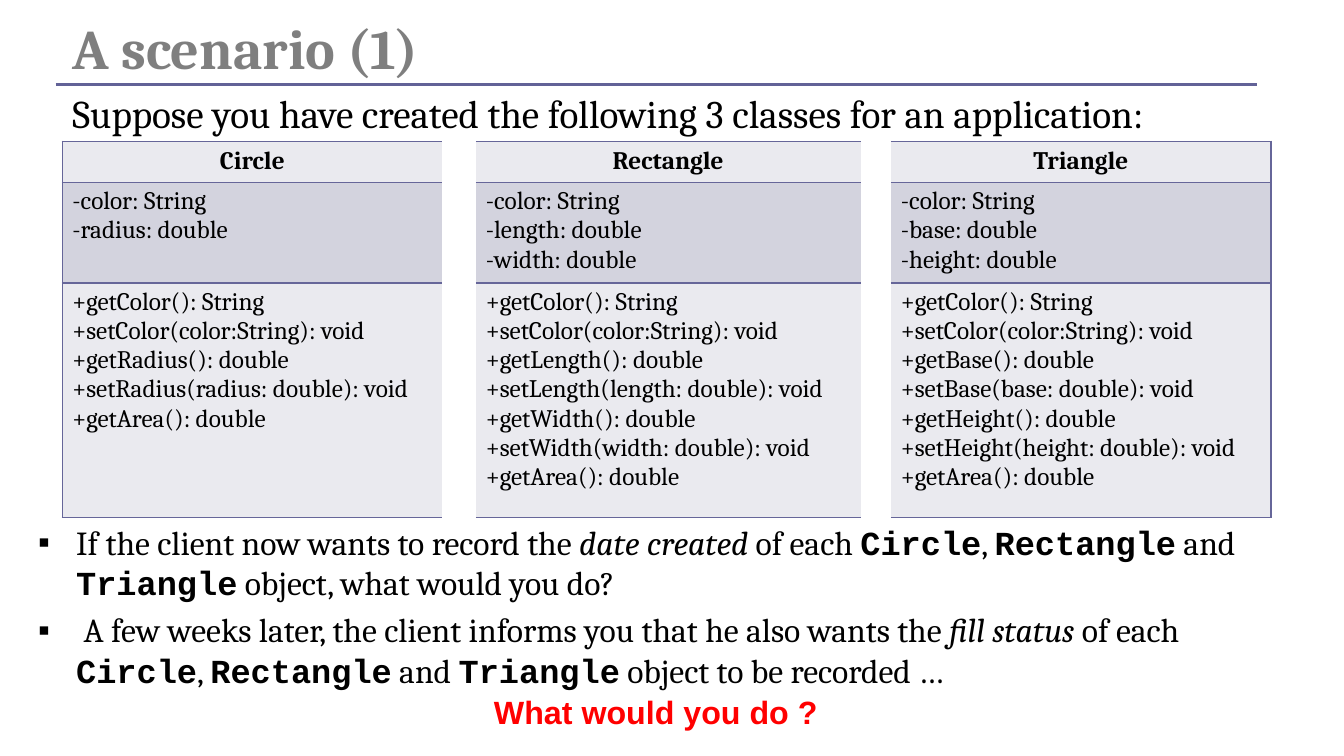
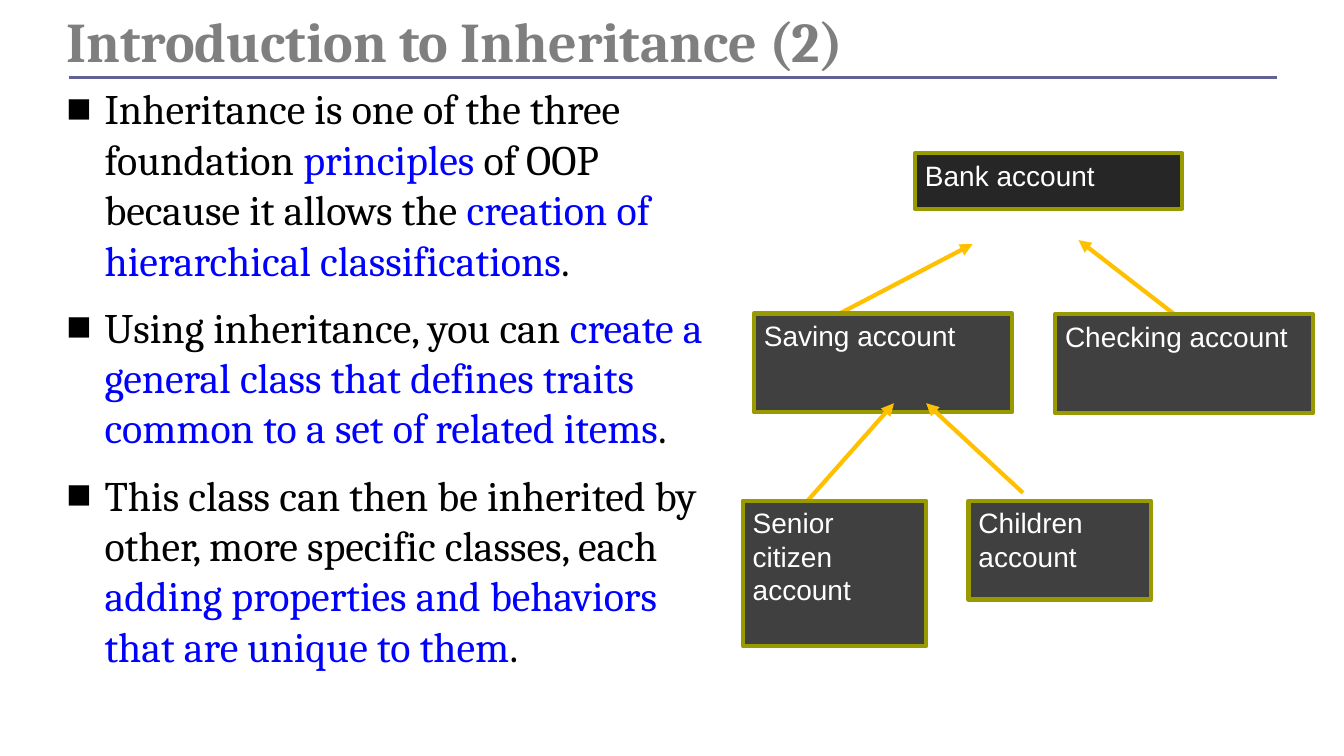
"""Build two slides that introduce inheritance with class tables and a hierarchy."""
from dataclasses import dataclass

from lxml.etree import SubElement
from pptx import Presentation
from pptx.dml.color import RGBColor
from pptx.enum.shapes import MSO_CONNECTOR, MSO_SHAPE
from pptx.enum.text import MSO_ANCHOR, MSO_AUTO_SIZE, PP_ALIGN
from pptx.oxml.ns import qn
from pptx.util import Cm, Pt


@dataclass(frozen=True)
class Theme:
    serif: str = "Cambria"
    sans: str = "Arial"
    mono: str = "Courier New"
    title: str = "7F7F7F"
    text: str = "000000"
    highlight: str = "0000FF"
    alert: str = "FF0000"
    rule: str = "626297"
    border: str = "666699"
    light_row: str = "EAEAEF"
    dark_row: str = "D3D3DE"
    root_box: str = "262626"
    box: str = "404040"
    box_border: str = "999900"
    box_text: str = "FFFFFF"
    arrow: str = "FFC000"
    title_size: float = 40
    intro_size: float = 28
    body_size: float = 30
    list_size: float = 24
    question_size: float = 23
    box_size: float = 20
    cell_size: float = 18
    hanging: float = 0.96


theme = Theme()
serif_text = {"name": theme.serif, "color": theme.text}
title_style = {"name": theme.serif, "size": Pt(theme.title_size), "bold": True, "color": theme.title}
intro_style = {**serif_text, "size": Pt(theme.intro_size)}
body_style = {**serif_text, "size": Pt(theme.body_size)}
list_style = {**serif_text, "size": Pt(theme.list_size)}
cell_style = {**serif_text, "size": Pt(theme.cell_size)}
question_style = {"name": theme.sans, "size": Pt(theme.question_size), "bold": True, "color": theme.alert}
box_style = {"name": theme.sans, "size": Pt(theme.box_size), "color": theme.box_text}
plain = {}
italic = {"italic": True}
code = {"name": theme.mono, "bold": True}
blue = {"color": theme.highlight}


def write_text(frame, paragraphs, style, layout=plain, gap=0, bullet=None, hanging=0):
    for index, runs in enumerate(paragraphs):
        paragraph = frame.paragraphs[0] if index == 0 else frame.add_paragraph()
        spacing = {"space_before": Pt(gap if index else 0), **layout}
        for name, value in spacing.items():
            setattr(paragraph, name, value)
        properties = paragraph._p.get_or_add_pPr()
        properties.set("marL", str(Cm(hanging)))
        properties.set("indent", str(-Cm(hanging)))
        if bullet:
            bullet_color = SubElement(properties, qn("a:buClr"))
            SubElement(bullet_color, qn("a:srgbClr"), val=theme.text)
            SubElement(properties, qn("a:buFont"), typeface=theme.sans)
            SubElement(properties, qn("a:buChar"), char=bullet)
        else:
            SubElement(properties, qn("a:buNone"))
        for text, emphasis in [(runs, plain)] if isinstance(runs, str) else runs:
            run = paragraph.add_run()
            run.text = text
            for name, value in {**style, **emphasis}.items():
                if name == "color":
                    run.font.color.rgb = RGBColor.from_string(value)
                else:
                    setattr(run.font, name, value)


def draw_line(slide, ends, color, width, arrowhead=False):
    connector = slide.shapes.add_connector(MSO_CONNECTOR.STRAIGHT, *map(Cm, ends))
    connector.line.color.rgb = RGBColor.from_string(color)
    connector.line.width = Pt(width)
    if arrowhead:
        SubElement(connector.line._get_or_add_ln(), qn("a:tailEnd"), type="triangle")
    SubElement(connector._element.spPr, qn("a:effectLst"))


presentation = Presentation()
presentation.slide_width = Cm(33.87)
presentation.slide_height = Cm(19.05)

pages = [
    {
        "title": "A scenario (1)",
        "title_box": (1.57, 0.64, 22.66, 1.5),
        "rule": (1.4, 2.13, 31.67, 2.13),
        "body_box": (1.57, 2.13, 30.43, 1.5),
        "body": ["Suppose you have created the following 3 classes for an application:"],
        "style": intro_style,
        "bullet": None,
    },
    {
        "title": "Introduction to Inheritance (2)",
        "title_box": (1.42, 0.08, 22.66, 1.9),
        "rule": (1.73, 1.96, 32.18, 1.96),
        "body_box": (1.42, 1.96, 16.92, 16.71),
        "body": [
            [
                ("Inheritance is one of the three foundation ", plain),
                ("principles ", blue),
                ("of OOP because it allows the ", plain),
                ("creation of hierarchical classifications", blue),
                (".", plain),
            ],
            [
                ("Using inheritance, you can ", plain),
                ("create a general class that defines traits common to a set of related items", blue),
                (".", plain),
            ],
            [
                ("This class can then be inherited by other, more specific classes, each ", plain),
                ("adding properties and behaviors that are unique to them", blue),
                (".", plain),
            ],
        ],
        "style": body_style,
        "bullet": "■",
    },
]

for page in pages:
    slide = presentation.slides.add_slide(presentation.slide_layouts[1])
    title, body = slide.placeholders
    for placeholder, box, anchor in (
        (title, page["title_box"], MSO_ANCHOR.BOTTOM),
        (body, page["body_box"], MSO_ANCHOR.TOP),
    ):
        for name, value in zip(("left", "top", "width", "height"), box):
            setattr(placeholder, name, Cm(value))
        frame_format = {"auto_size": MSO_AUTO_SIZE.NONE, "vertical_anchor": anchor, "word_wrap": True}
        for name, value in frame_format.items():
            setattr(placeholder.text_frame, name, value)
    title_layout = {"alignment": PP_ALIGN.LEFT, "line_spacing": 0.8}
    write_text(title.text_frame, [page["title"]], title_style, title_layout)
    write_text(body.text_frame, page["body"], page["style"], gap=12,
               bullet=page["bullet"], hanging=theme.hanging)
    draw_line(slide, page["rule"], theme.rule, 2.25)

scenario, inheritance = presentation.slides

classes = [
    ("Circle", [("Radius", "radius")]),
    ("Rectangle", [("Length", "length"), ("Width", "width")]),
    ("Triangle", [("Base", "base"), ("Height", "height")]),
]
column_widths = (9.58, 0.84, 9.7, 0.76, 9.58)
row_heights = (1.02, 2.54, 5.92)
row_fills = (theme.light_row, theme.dark_row, theme.light_row)
table_frame = scenario.shapes.add_table(3, 5, Cm(1.57), Cm(3.56), Cm(30.46), Cm(9.48))
table = table_frame.table
table.first_row = False
table.horz_banding = False
table._tbl.tblPr.find(qn("a:tableStyleId")).text = "{2D5ABB26-0587-4C30-8999-92F81FD0307C}"
for column, width in zip(table.columns, column_widths):
    column.width = Cm(width)
for row, height in zip(table.rows, row_heights):
    row.height = Cm(height)
for row_index in range(3):
    for gap_column in (1, 3):
        table.cell(row_index, gap_column).fill.background()
for class_index, (class_name, fields) in enumerate(classes):
    attributes = ["-color: String"]
    methods = ["+getColor(): String", "+setColor(color:String): void"]
    for suffix, field in fields:
        attributes.append(f"-{field}: double")
        methods += [f"+get{suffix}(): double", f"+set{suffix}({field}: double): void"]
    methods.append("+getArea(): double")
    edges = {0: ["lnL", "lnT", "lnB"], 1: ["lnT", "lnB"], 2: ["lnR", "lnT", "lnB"]}[class_index]
    for row_index, lines in enumerate(([class_name], attributes, methods)):
        cell = table.cell(row_index, 2 * class_index)
        for edge in edges:
            border = SubElement(cell._tc.get_or_add_tcPr(), qn(f"a:{edge}"), w=str(Pt(1)))
            SubElement(SubElement(border, qn("a:solidFill")), qn("a:srgbClr"), val=theme.border)
        cell.fill.solid()
        cell.fill.fore_color.rgb = RGBColor.from_string(row_fills[row_index])
        is_heading = row_index == 0
        alignment = PP_ALIGN.CENTER if is_heading else PP_ALIGN.LEFT
        write_text(cell.text_frame, lines, {**cell_style, "bold": is_heading}, {"alignment": alignment})

class_names = [("Circle", code), (", ", plain), ("Rectangle", code), (" and ", plain), ("Triangle", code)]
change_requests = [
    [
        ("If the client now wants to record the ", plain),
        ("date created", italic),
        (" of each ", plain),
        *class_names,
        (" object, what would you do?", plain),
    ],
    [
        (" A few weeks later, the client informs you that he also wants the ", plain),
        ("fill status", italic),
        (" of each ", plain),
        *class_names,
        (" object to be recorded …", plain),
    ],
]
requests_box = scenario.shapes.add_textbox(Cm(0.71), Cm(13.03), Cm(32.31), Cm(4.98))
requests_box.text_frame.word_wrap = True
write_text(requests_box.text_frame, change_requests, list_style, gap=4.8, bullet="▪", hanging=theme.hanging)

question_box = scenario.shapes.add_textbox(Cm(9.45), Cm(17.32), Cm(14.17), Cm(1.24))
question_box.text_frame.word_wrap = True
write_text(question_box.text_frame, ["What would you do ?"], question_style, {"alignment": PP_ALIGN.CENTER})

hierarchy_levels = [
    ([], [("Bank account", (23.06, 3.86, 6.73, 1.4), theme.root_box)]),
    (
        [(21.16, 7.9, 24.51, 6.15), (29.57, 7.9, 27.18, 6.05)],
        [
            ("Saving account", (19, 7.9, 6.5, 2.49), theme.box),
            ("Checking account", (26.59, 7.92, 6.5, 2.49), theme.box),
        ],
    ),
    (
        [(20.35, 12.62, 22.53, 10.16), (25.78, 12.42, 23.34, 10.16)],
        [
            ("Senior citizen account", (18.72, 12.62, 4.62, 3.66), theme.box),
            ("Children account", (24.41, 12.62, 4.6, 2.49), theme.box),
        ],
    ),
]
for arrows, accounts in hierarchy_levels:
    for ends in arrows:
        draw_line(inheritance, ends, theme.arrow, 3, arrowhead=True)
    for label, box, fill in accounts:
        shape = inheritance.shapes.add_shape(MSO_SHAPE.RECTANGLE, *map(Cm, box))
        shape.shadow.inherit = False
        shape.fill.solid()
        shape.fill.fore_color.rgb = RGBColor.from_string(fill)
        shape.line.color.rgb = RGBColor.from_string(theme.box_border)
        shape.line.width = Pt(3)
        shape.text_frame.word_wrap = True
        shape.text_frame.vertical_anchor = MSO_ANCHOR.TOP
        write_text(shape.text_frame, [label], box_style, {"alignment": PP_ALIGN.LEFT})

presentation.save("out.pptx")
